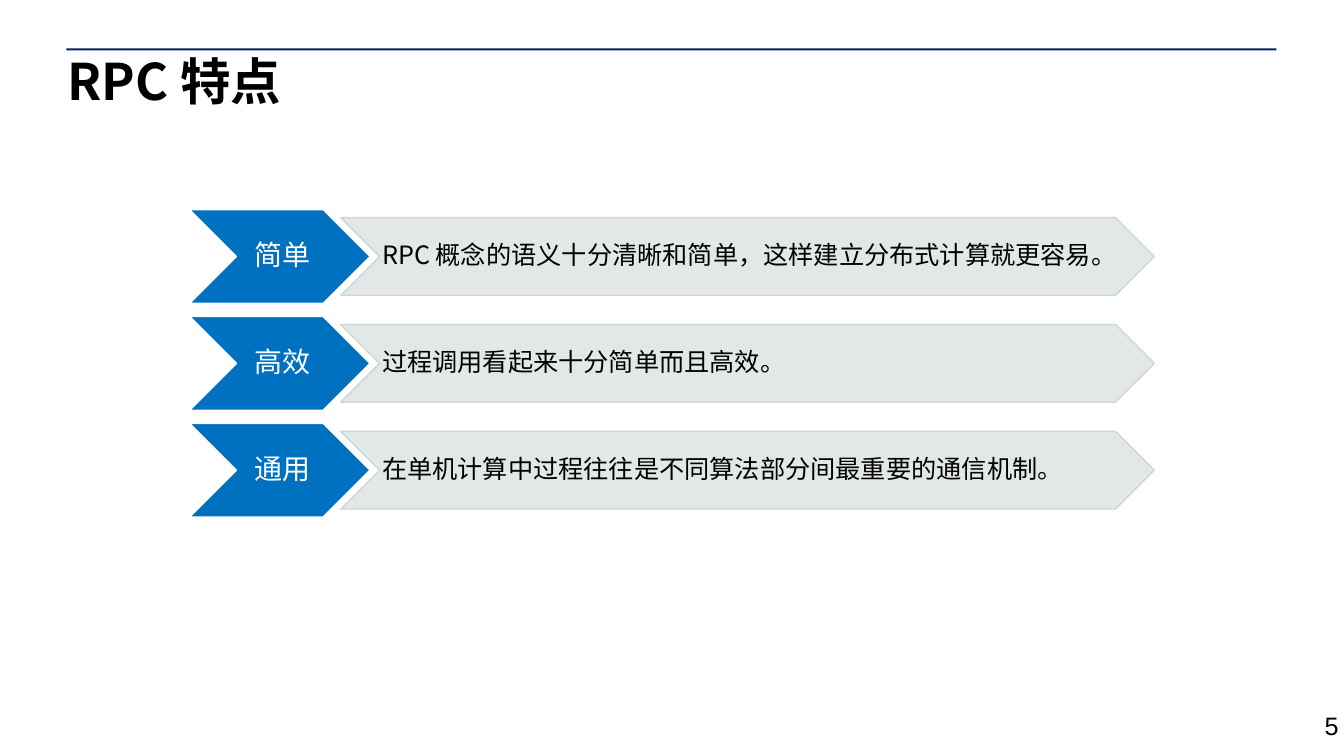
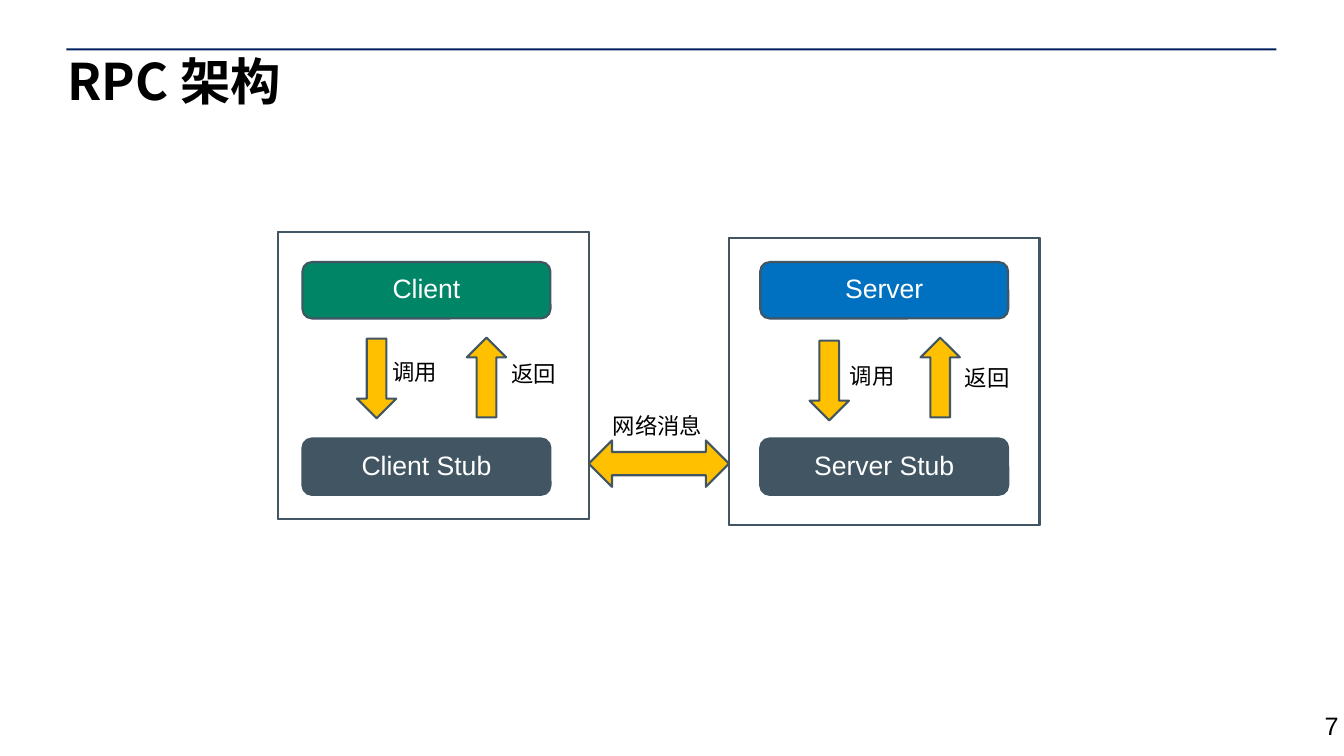
from lxml import etree
from pptx import Presentation
from pptx import util as u
from pptx.dml import color
from pptx.enum import shapes, text
from pptx.oxml import ns

PX = 9144
COLORS = {
    "navy": "002060", "blue": "0070C0", "green": "008666", "slate": "425563",
    "amber": "FFC000", "mist": "DFE6E5", "edge": "CFD1D3",
    "white": "FFFFFF", "black": "000000",
}
CJK = "Noto Sans CJK SC"
LATIN = "Arial"
KIND = shapes.MSO_SHAPE
ALIGN = text.PP_ALIGN
ANCHOR = text.MSO_ANCHOR


def px(*values):
    return [u.Emu(v * PX) for v in values]


def paint(fill, name, alpha=None):
    fill.solid()
    fill.fore_color.rgb = color.RGBColor.from_string(COLORS[name])
    if alpha:
        clr = fill._xPr.find(".//" + ns.qn("a:srgbClr"))
        etree.SubElement(clr, ns.qn("a:alpha"), val=str(alpha * 1000))


def write(sp, words, size, font, ink="black", align=ALIGN.LEFT, anchor=ANCHOR.TOP,
          insets=(0, 0, 0, 0), bold=False, spacing=0.9):
    tf = sp.text_frame
    tf.word_wrap = True
    tf.vertical_anchor = anchor
    tf.margin_left, tf.margin_top, tf.margin_right, tf.margin_bottom = px(*insets)
    p = tf.paragraphs[0]
    p.alignment = align
    p.line_spacing = spacing
    r = p.add_run()
    r.text = words
    r.font.size = u.Pt(size)
    r.font.bold = bold
    r.font.name = font
    paint(r.font.fill, ink)
    etree.SubElement(r.font._element, ns.qn("a:ea"), typeface=CJK)


def add_text(s, box, words, size, font, **style):
    write(s.shapes.add_textbox(*px(*box)), words, size, font, **style)


def add_shape(s, kind, box, fill, line=None, width=1.5, alpha=None):
    sp = s.shapes.add_shape(kind, *px(*box))
    sp.shadow.inherit = False
    paint(sp.fill, fill, alpha)
    if line:
        paint(sp.line.fill, line, alpha)
        sp.line.width = u.Pt(width)
    else:
        sp.line.fill.background()
    return sp


def new_slide(prs, title, number):
    s = prs.slides.add_slide(prs.slide_layouts[6])
    add_shape(s, KIND.RECTANGLE, (66, 48, 1200, 2), "navy")
    add_text(s, (67, 57, 1199, 93), title, 36, CJK, bold=True)
    add_text(s, (1304, 700, 29, 30), number, 18, LATIN, insets=(10, 5, 10, 5), spacing=1)
    return s


def feature_row(s, x, y, name, detail):
    style = {"anchor": ANCHOR.MIDDLE, "insets": (3, 1, 0, 1)}
    add_shape(s, KIND.CHEVRON, (x, y, 179, 93), "blue", "white", 1)
    add_text(s, (x + 47, y, 87, 93), name, 20, CJK, ink="white", align=ALIGN.CENTER, **style)
    add_shape(s, KIND.CHEVRON, (x + 150, y + 8, 807, 77), "mist", "edge", 1, 90)
    add_text(s, (x + 188, y + 8, 730, 77), detail, 18, CJK, **style)


def node(s, x, y, name, fill):
    sp = add_shape(s, KIND.ROUNDED_RECTANGLE, (x, y, 246, 56), fill, "slate")
    write(sp, name, 19, LATIN, ink="white", align=ALIGN.CENTER,
          anchor=ANCHOR.MIDDLE, insets=(10, 5, 10, 5))


def endpoint(s, x, y, name, fill, boxes, down, up, call, back):
    dx, dy = boxes
    node(s, x + dx, y + dy, name, fill)
    node(s, x + dx, y + dy + 175, name + " Stub", "slate")
    for kind, (dx, dy) in ((KIND.DOWN_ARROW, down), (KIND.UP_ARROW, up)):
        add_shape(s, kind, (x + dx, y + dy, 39, 79), "amber", "slate")
    for words, (dx, dy) in (("调用", call), ("返回", back)):
        add_text(s, (x + dx, y + dy, 100, 26), words, 16, LATIN)
    frame = add_shape(s, KIND.FRAME, (x, y, 308, 285), "slate", "slate")
    frame.adjustments[0] = 0


def network_link(s, x, y, width):
    add_shape(s, KIND.LEFT_RIGHT_ARROW, (x, y, width, 46), "amber", "slate")
    add_text(s, (x + 24, y - 25, 100, 26), "网络消息", 16, LATIN)


def features_slide(prs):
    s = new_slide(prs, "RPC 特点", "5")
    rows = (
        ("简单", "RPC 概念的语义十分清晰和简单，这样建立分布式计算就更容易。"),
        ("高效", "过程调用看起来十分简单而且高效。"),
        ("通用", "在单机计算中过程往往是不同算法部分间最重要的通信机制。"),
    )
    for i, (name, detail) in enumerate(rows):
        feature_row(s, 188, 208 + 106 * i, name, detail)


def architecture_slide(prs):
    s = new_slide(prs, "RPC 架构", "7")
    endpoint(s, 276, 230, "Client", "green", boxes=(24, 30), down=(78, 106),
             up=(187, 105), call=(113, 128), back=(231, 130))
    endpoint(s, 723, 236, "Server", "blue", boxes=(31, 24), down=(80, 102),
             up=(190, 99), call=(120, 126), back=(234, 128))
    network_link(s, 584, 437, 139)


def main():
    prs = Presentation()
    prs.slide_width, prs.slide_height = px(1333, 750)
    features_slide(prs)
    architecture_slide(prs)
    prs.save("out.pptx")


if __name__ == "__main__":
    main()
